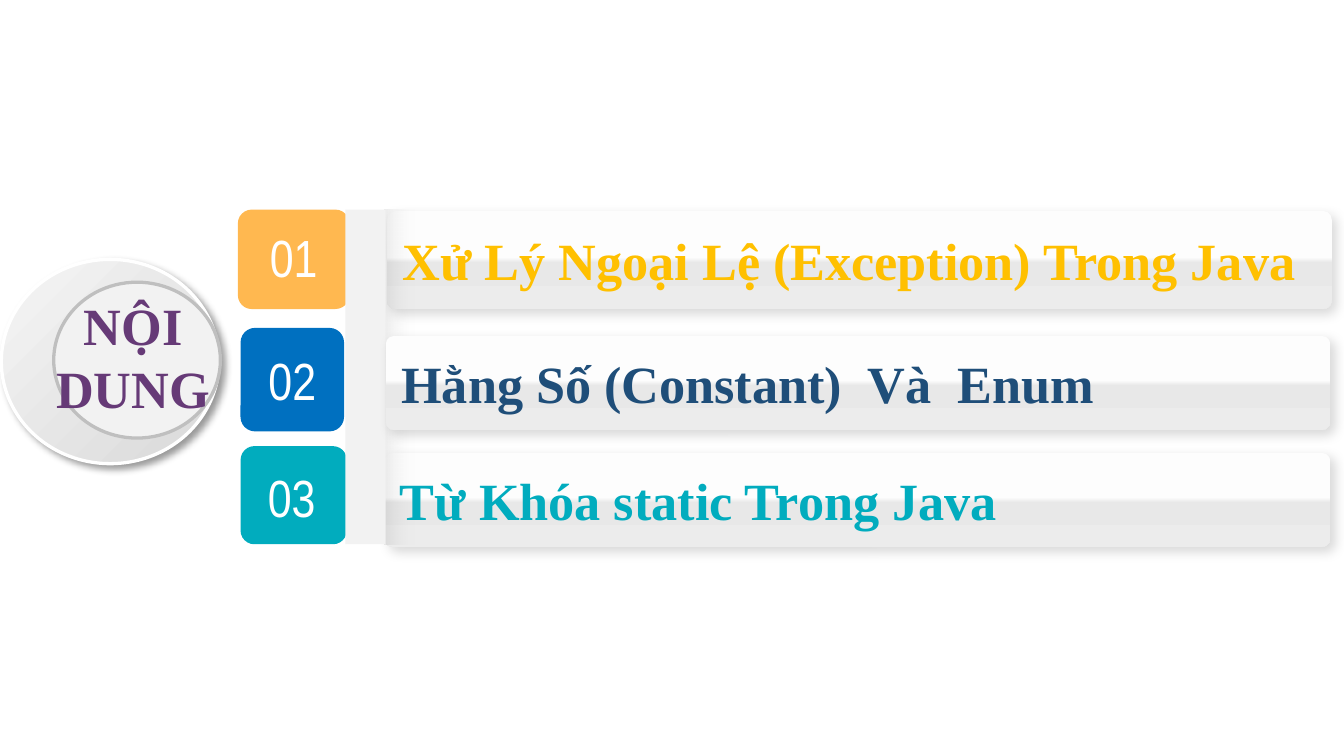
from typing import NamedTuple, Optional

from lxml import etree
from pptx import Presentation
from pptx.dml import color
from pptx.enum import shapes, text
from pptx.oxml import ns
from pptx.util import Inches, Pt

SERIF = "Times New Roman"
GLOSS = [(0, "FDFDFD", 100), (47, "FDFDFD", 100), (53, "E8E8E8", 100), (100, "ECECEC", 100)]
KIND = shapes.MSO_SHAPE
ALIGN = text.PP_ALIGN
ANCHOR = text.MSO_ANCHOR


class Box(NamedTuple):
    left: float
    top: float
    width: float
    height: float


class Row(NamedTuple):
    num: str
    label: str
    fill: str
    ink: str
    tile: Box
    bar: Box
    cap: Optional[Box] = None


def paint(fmt, tint: str) -> None:
    fmt.solid()
    fmt.fore_color.rgb = color.RGBColor.from_string(tint)


def add_tint(parent, tint: str, alpha: float) -> None:
    node = etree.SubElement(parent, ns.qn("a:srgbClr"), val=tint)
    etree.SubElement(node, ns.qn("a:alpha"), val=str(int(alpha * 1000)))


def blend(shape, stops: list, angle: int) -> None:
    shape.fill.background()
    old = shape._element.spPr.find(ns.qn("a:noFill"))
    grad = etree.Element(ns.qn("a:gradFill"), rotWithShape="1")
    items = etree.SubElement(grad, ns.qn("a:gsLst"))
    for pos, tint, alpha in stops:
        stop = etree.SubElement(items, ns.qn("a:gs"), pos=str(pos * 1000))
        add_tint(stop, tint, alpha)
    etree.SubElement(grad, ns.qn("a:lin"), ang=str(angle * 60000), scaled="0")
    old.getparent().replace(old, grad)


def shade(shape, alpha: int, blur: int, dist: int) -> None:
    effects = shape._element.spPr.find(ns.qn("a:effectLst"))
    node = etree.SubElement(effects, ns.qn("a:outerShdw"), blurRad=str(Pt(blur)),
                            dist=str(Pt(dist)), dir="2700000", algn="tl", rotWithShape="0")
    add_tint(node, "000000", alpha)


def draw(slide, kind, box: Box, fill: Optional[str] = None, line: Optional[str] = None,
         adj: Optional[float] = None):
    shape = slide.shapes.add_shape(kind, *map(Inches, box))
    shape.shadow.inherit = False
    if fill:
        paint(shape.fill, fill)
    if line:
        paint(shape.line.fill, line)
        shape.line.width = Pt(1.75)
    else:
        shape.line.fill.background()
    if adj is not None:
        shape.adjustments[0] = adj
    return shape


def write(shape, words: str, font: str, ink: str, bold: bool, align, anchor) -> None:
    frame = shape.text_frame
    frame.word_wrap = True
    frame.auto_size = text.MSO_AUTO_SIZE.NONE
    frame.vertical_anchor = anchor
    para = frame.paragraphs[0]
    para.alignment = align
    run = para.add_run()
    run.text = words
    run.font.name = font
    run.font.size = Pt(28)
    run.font.bold = bold
    paint(run.font.fill, ink)


def draw_row(slide, row: Row) -> None:
    tile = draw(slide, KIND.ROUNDED_RECTANGLE, row.tile, row.fill, adj=0.14)
    spot = slide.shapes.add_textbox(*map(Inches, row.cap)) if row.cap else tile
    write(spot, row.num, "Arial Narrow", "FFFFFF", False, ALIGN.CENTER,
          ANCHOR.TOP if row.cap else ANCHOR.MIDDLE)
    bar = draw(slide, KIND.ROUNDED_RECTANGLE, row.bar, adj=0.09)
    blend(bar, GLOSS, 90)
    shade(bar, 14, 6, 3)
    write(bar, row.label, SERIF, row.ink, True, ALIGN.LEFT, ANCHOR.MIDDLE)


def draw_title(slide) -> None:
    disc = draw(slide, KIND.OVAL, Box(0.01, 1.93, 1.62, 1.52), line="FFFFFF")
    blend(disc, [(0, "F5F5F5", 100), (100, "D9D9D9", 100)], 45)
    shade(disc, 40, 4, 3)
    draw(slide, KIND.OVAL, Box(0.4, 2.1, 1.24, 1.16), "F2F2F2", "BFBFBF")
    title = slide.shapes.title
    title.left, title.top, title.width, title.height = map(Inches, (0.18, 2.13, 1.62, 1.03))
    write(title, "NỘI DUNG", SERIF, "663A77", True, ALIGN.CENTER, ANCHOR.TOP)
    slide.shapes._spTree.append(title._element)


def draw_spine(slide) -> None:
    fade = draw(slide, KIND.RECTANGLE, Box(2.86, 1.56, 0.23, 2.49))
    blend(fade, [(0, "000000", 8), (100, "F2F2F2", 0)], 0)
    draw(slide, KIND.RECTANGLE, Box(2.57, 1.56, 0.3, 2.49), "F2F2F2")


def main() -> None:
    deck = Presentation()
    deck.slide_width = Inches(10)
    deck.slide_height = deck.slide_width * 9 // 16
    slide = deck.slides.add_slide(deck.slide_layouts[5])
    first, second, third = (
        Row("01", "Xử Lý Ngoại Lệ (Exception) Trong Java", "FFB850", "FFC000",
            Box(1.77, 1.56, 0.83, 0.74), Box(2.88, 1.57, 7.03, 0.73),
            Box(1.78, 1.63, 0.81, 0.57)),
        Row("02", "Hằng Số (Constant)  Và  Enum", "0070C0", "1F4E79",
            Box(1.79, 2.44, 0.77, 0.77), Box(2.87, 2.5, 7.03, 0.7)),
        Row("03", "Từ Khóa static Trong Java", "01ACBE", "01ACBE",
            Box(1.79, 3.32, 0.79, 0.73), Box(2.86, 3.37, 7.04, 0.7),
            Box(1.77, 3.41, 0.8, 0.39)),
    )
    draw_title(slide)
    draw_row(slide, first)
    draw_row(slide, third)
    draw_spine(slide)
    draw_row(slide, second)
    deck.save("out.pptx")


if __name__ == "__main__":
    main()
